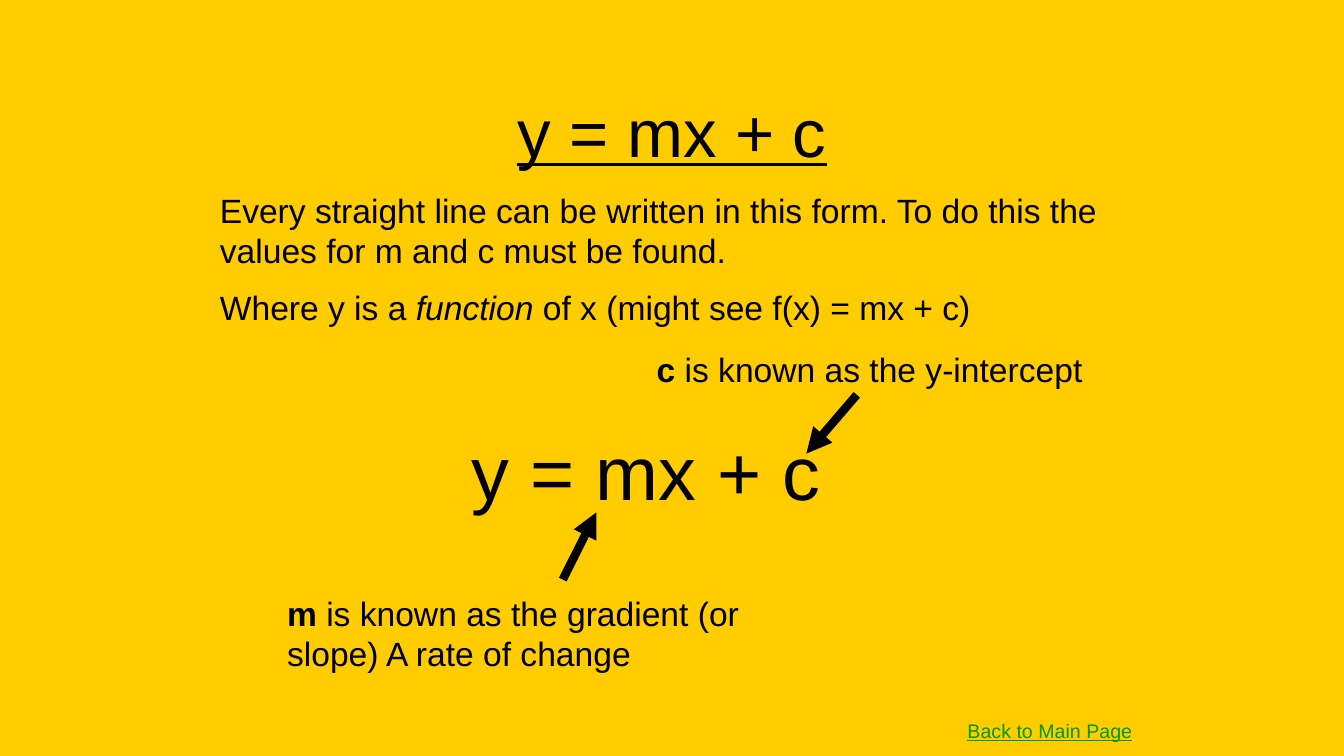
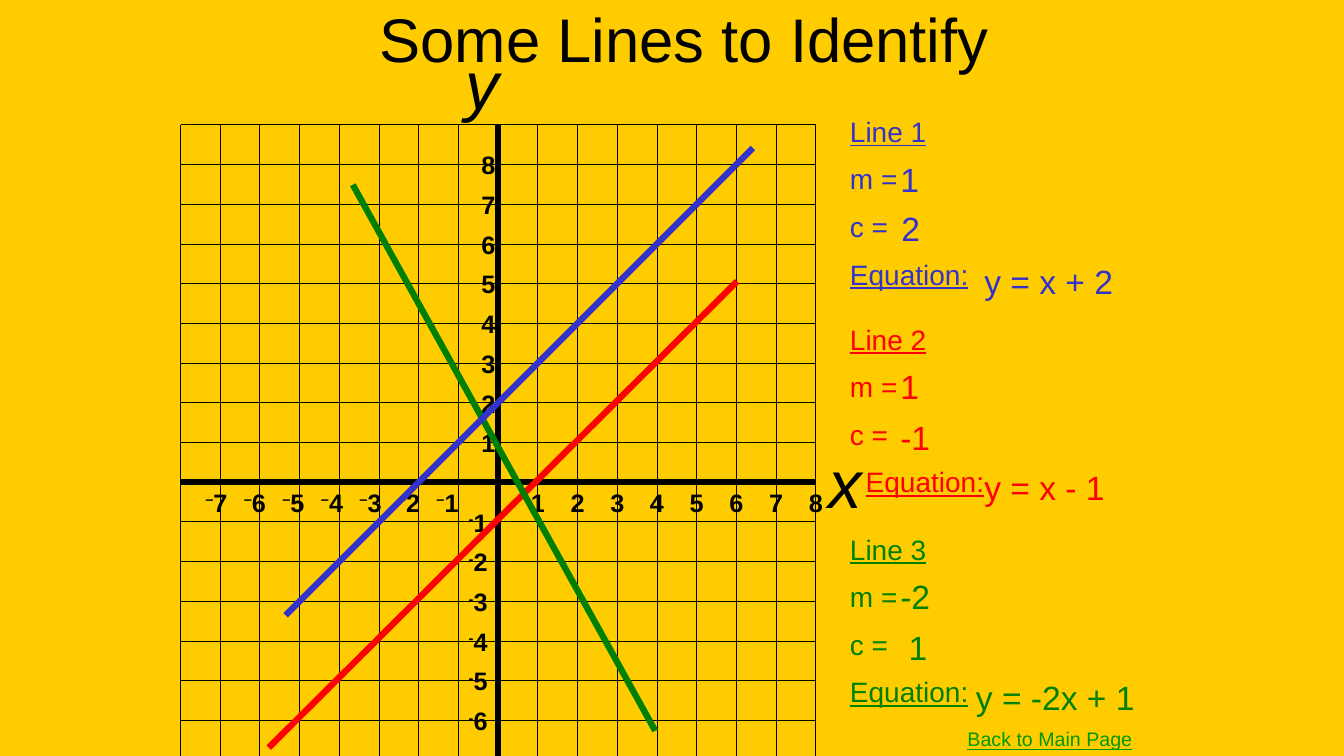
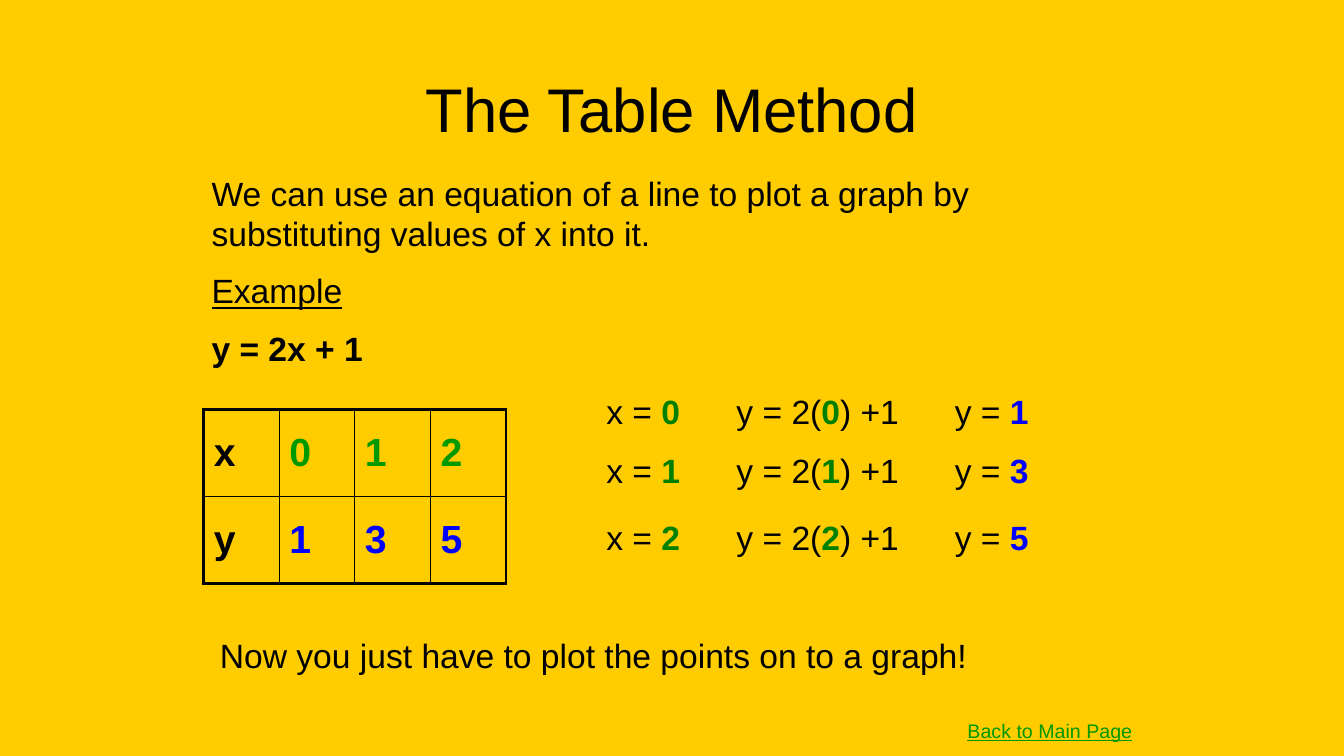
"""Build three slides on straight lines, their graphs and the table method."""
from lxml import etree
from pptx import Presentation
from pptx.dml.color import RGBColor
from pptx.enum.shapes import MSO_CONNECTOR
from pptx.enum.text import MSO_ANCHOR, PP_ALIGN
from pptx.oxml.ns import qn
from pptx.util import Emu, Pt

PX = 9525
WIDTH, HEIGHT = 1280, 720
FONT = "Arial"
GOLD = RGBColor(0xFF, 0xCC, 0x00)
BLACK = RGBColor(0, 0, 0)
BLUE = RGBColor(0x33, 0x33, 0xCC)
RED = RGBColor(0xFF, 0, 0)
GREEN = RGBColor(0, 0x80, 0)
LINK_GREEN = RGBColor(0, 0x99, 0)
VALUE_BLUE = RGBColor(0, 0, 0xFF)

BOLD = {"bold": True}
ITALIC = {"italic": True}
UNDERLINE = {"underline": True}

FORM_NOTES = [
    ((200, 176, 872, 145), 24, [
        ["Every straight line can be written in this form. To do this the "
         "values for m and c must be found."],
        ["Where y is a ", ("function", ITALIC), " of x (might see f(x) = mx + c)"],
    ]),
    ((440, 400, 352, 96), 54, [["y = mx + c"]]),
    ((616, 328, 536, 48), 24, [[("c", BOLD), " is known as the y-intercept"]]),
    ((264, 560, 536, 87), 24, [
        [("m", BOLD), " is known as the gradient (or slope) A rate of change"]]),
]
FORM_ARROWS = [((816, 376), (768, 432)), ((536, 552), (568, 488))]

GRID_LEFT, GRID_TOP, GRID_SIZE, GRID_CELLS = 172, 119, 605, 16
CELLS_LEFT_OF_ORIGIN, CELLS_ABOVE_ORIGIN = 8, 9
AXIS_LETTERS = [("y", (434, 36, 107, 91)), ("x", (780, 416, 60, 68))]
PLOTTED = [
    (RED, (702, 268), (256, 712)),
    (GREEN, (336, 176), (624, 696)),
    (BLUE, (717, 141), (272, 586)),
]
ANSWERS = [
    ("Line 1", BLUE, 104, 0,
     [("1", 848, 147), ("2", 849, 193), ("y = x + 2", 928, 244)]),
    ("Line 2", RED, 302, 15,
     [("1", 848, 344), ("-1", 848, 392), ("y = x - 1", 928, 440)]),
    ("Line 3", GREEN, 502, 0,
     [("-2", 848, 544), ("1", 856, 592), ("y = -2x + 1", 920, 640)]),
]

METHOD_INTRO = [
    ["We can use an equation of a line to plot a graph by "
     "substituting values of x into it."],
    [("Example", UNDERLINE)],
    [("y = 2x + 1", BOLD)],
]
POINTS = [("0", "1"), ("1", "3"), ("2", "5")]
WORKING_TOPS = [368, 424, 488]
WORKING_TABS = (124, 332)
CELL_WIDTH, CELL_HEIGHT = 72, 83


def px(length):
    return Emu(round(length * PX))


def add_runs(paragraph, parts, size, color):
    for part in parts:
        words, style = (part, {}) if isinstance(part, str) else part
        run = paragraph.add_run()
        run.text = words
        font = run.font
        font.name, font.size = FONT, Pt(size)
        font.color.rgb = style.get("color", color)
        font.bold = style.get("bold", False)
        font.italic = style.get("italic", False)
        font.underline = style.get("underline", False)
        if "baseline" in style:
            run._r.get_or_add_rPr().set("baseline", str(style["baseline"]))


def write(slide, box, paragraphs, size, color=BLACK, align=PP_ALIGN.LEFT,
          anchor=MSO_ANCHOR.TOP):
    frame = slide.shapes.add_textbox(*map(px, box)).text_frame
    frame.word_wrap = True
    frame.vertical_anchor = anchor
    for index, parts in enumerate(paragraphs):
        paragraph = frame.add_paragraph() if index else frame.paragraphs[0]
        paragraph.alignment = align
        if index:
            paragraph.space_before = Pt(size / 2)
        add_runs(paragraph, parts, size, color)
    return frame


def draw_line(slide, start, end, color, weight, arrow=False):
    connector = slide.shapes.add_connector(
        MSO_CONNECTOR.STRAIGHT, *map(px, (*start, *end)))
    connector.line.color.rgb = color
    connector.line.width = Pt(weight)
    if arrow:
        etree.SubElement(connector.line._get_or_add_ln(), qn("a:tailEnd"), type="triangle")
    etree.SubElement(connector._element.spPr, qn("a:effectLst"))


def add_title(slide, words, box, size=44, style=None):
    write(slide, box, [[(words, style or {})]], size,
          align=PP_ALIGN.CENTER, anchor=MSO_ANCHOR.MIDDLE)


def add_back_label(slide, top=680):
    write(slide, (912, top, 200, 32), [[("Back to Main Page", UNDERLINE)]], 14, LINK_GREEN)


def build_form(slide):
    add_title(slide, "y = mx + c", (96, 64, 1088, 120), 48, UNDERLINE)
    for box, size, paragraphs in FORM_NOTES:
        write(slide, box, paragraphs, size)
    for start, end in FORM_ARROWS:
        draw_line(slide, start, end, BLACK, 6, arrow=True)
    add_back_label(slide)


def draw_grid(slide):
    step = GRID_SIZE / GRID_CELLS
    right = GRID_LEFT + GRID_SIZE
    for index in range(GRID_CELLS + 1):
        x = GRID_LEFT + index * step
        draw_line(slide, (x, GRID_TOP), (x, HEIGHT), BLACK, 0.75)
    for index in range(GRID_CELLS):
        y = GRID_TOP + index * step
        draw_line(slide, (GRID_LEFT, y), (right, y), BLACK, 0.75)
    origin_x = GRID_LEFT + CELLS_LEFT_OF_ORIGIN * step
    origin_y = GRID_TOP + CELLS_ABOVE_ORIGIN * step
    draw_line(slide, (origin_x, GRID_TOP), (origin_x, HEIGHT), BLACK, 4.5)
    draw_line(slide, (GRID_LEFT, origin_y), (right, origin_y), BLACK, 4.5)

    def label(number, left, top, sign="", align=PP_ALIGN.LEFT):
        parts = [(sign, {"bold": True, "baseline": 30000})] if sign else []
        write(slide, (left, top, 52, 38), [parts + [(str(number), BOLD)]], 18, align=align)

    for number in range(1, 9):
        label(number, origin_x + number * step - 26, origin_y, align=PP_ALIGN.CENTER)
        label(number, 449, origin_y - number * step - 19)
    for number in range(1, 8):
        label(number, 437 - number * 36.7, origin_y, "–", PP_ALIGN.CENTER)
    for number in range(1, 7):
        label(number, 437, origin_y + number * step - 19, "-")


def build_lines(slide):
    draw_grid(slide)
    for letter, box in AXIS_LETTERS:
        write(slide, box, [[(letter, ITALIC)]], 48)
    for color, start, end in PLOTTED:
        draw_line(slide, start, end, color, 4.5)
    add_title(slide, "Some Lines to Identify", (272, 0, 760, 72))
    for name, color, top, indent, values in ANSWERS:
        prompts = [[(name, UNDERLINE)], ["m ="], ["c ="], [("Equation:", UNDERLINE)]]
        panel = write(slide, (800, top, 304, 185), prompts, 20, color)
        if indent:
            panel.paragraphs[-1]._p.get_or_add_pPr().set("marL", str(px(indent)))
        for value, left, value_top in values:
            write(slide, (left, value_top, 192, 48), [[value]], 24, color)
    add_back_label(slide, 688)


def add_working(slide, x, y, top):
    given = (x, {"bold": True, "color": GREEN})
    result = (y, {"bold": True, "color": VALUE_BLUE})
    frame = write(slide, (568, top, 472, 48),
                  [["x = ", given, "\ty = 2(", given, ") +1\ty = ", result]], 24)
    stops = etree.SubElement(frame.paragraphs[0]._p.get_or_add_pPr(), qn("a:tabLst"))
    for stop in WORKING_TABS:
        etree.SubElement(stops, qn("a:tab"), pos=str(px(stop)), algn="l")


def set_borders(cell, outer_sides):
    properties = cell._tc.get_or_add_tcPr()
    for index, side in enumerate("LRTB"):
        weight = Pt(2.25 if side in outer_sides else 1)
        border = etree.Element(qn(f"a:ln{side}"), w=str(weight))
        fill = etree.SubElement(border, qn("a:solidFill"))
        etree.SubElement(fill, qn("a:srgbClr"), val=str(BLACK))
        properties.insert(index, border)


def add_value_table(slide):
    xs, ys = zip(*POINTS)
    rows = [("x", xs, LINK_GREEN), ("y", ys, VALUE_BLUE)]
    count = len(POINTS) + 1
    table = slide.shapes.add_table(
        len(rows), count, px(194), px(390),
        px(CELL_WIDTH * count), px(CELL_HEIGHT * len(rows))).table
    table.first_row = table.horz_banding = False
    for column in table.columns:
        column.width = px(CELL_WIDTH)
    for r, (name, values, color) in enumerate(rows):
        table.rows[r].height = px(CELL_HEIGHT)
        for c, value in enumerate((name, *values)):
            cell = table.cell(r, c)
            cell.fill.background()
            cell.vertical_anchor = MSO_ANCHOR.MIDDLE
            add_runs(cell.text_frame.paragraphs[0], [(value, BOLD)], 28, color if c else BLACK)
            outer = ("B" if r else "T") + {0: "L", count - 1: "R"}.get(c, "")
            set_borders(cell, outer)


def build_method(slide):
    add_title(slide, "The Table Method", (232, 43, 816, 120))
    write(slide, (192, 160, 800, 210), METHOD_INTRO, 24)
    for (x, y), top in zip(POINTS, WORKING_TOPS):
        add_working(slide, x, y, top)
    write(slide, (200, 600, 864, 48),
          [["Now you just have to plot the points on to a graph!"]], 24)
    add_back_label(slide)
    add_value_table(slide)


def main():
    deck = Presentation()
    deck.slide_width, deck.slide_height = px(WIDTH), px(HEIGHT)
    backdrop = deck.slide_master.background.fill
    backdrop.solid()
    backdrop.fore_color.rgb = GOLD
    for build in (build_form, build_lines, build_method):
        build(deck.slides.add_slide(deck.slide_layouts[6]))
    deck.save("out.pptx")


if __name__ == "__main__":
    main()
